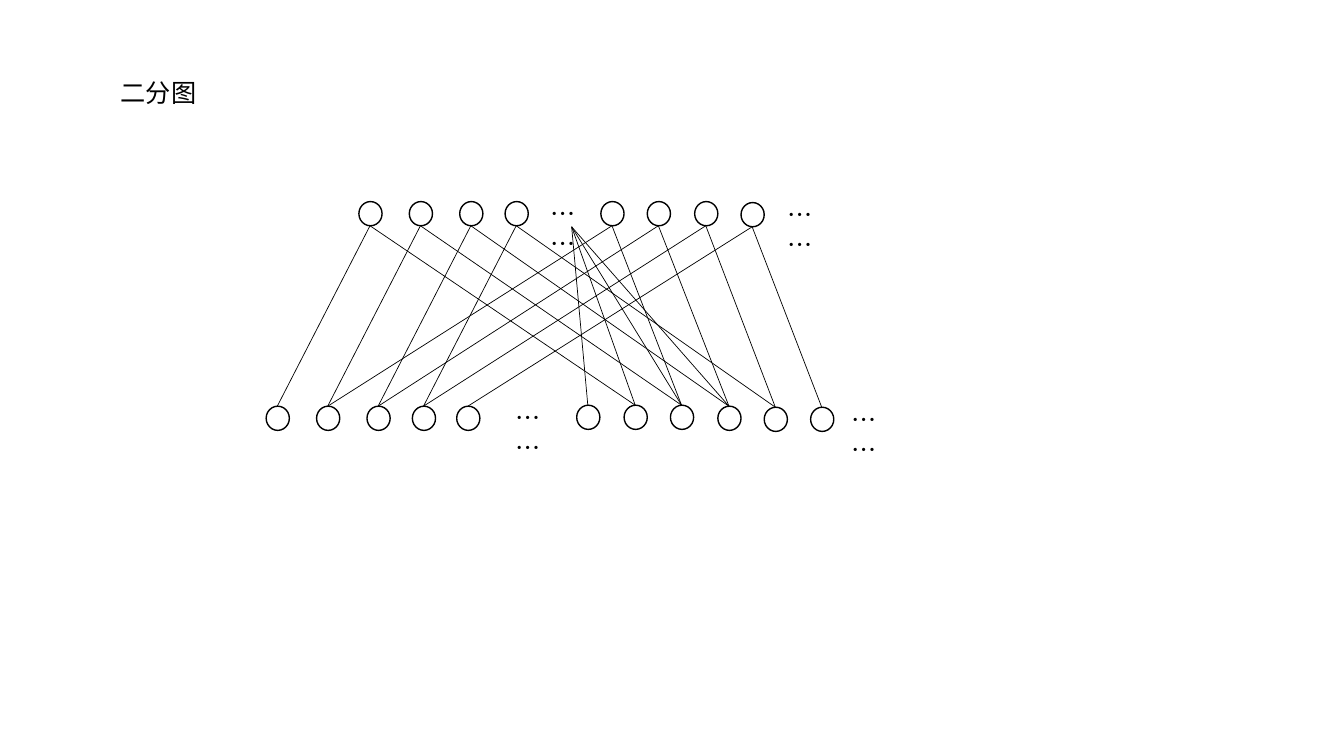
"""Builds a slide that shows a bipartite graph."""
import dataclasses

import lxml.etree
import pptx
import pptx.dml.color
import pptx.enum.shapes
import pptx.enum.text
import pptx.oxml.ns
import pptx.util

PX = 9144


@dataclasses.dataclass(frozen=True)
class Theme:
    ink: str = "000000"
    paper: str = "FFFFFF"
    font: str = "Noto Sans CJK SC"
    text_size: int = 18
    node_line: float = 1
    edge_line: float = 0.5


def rgb(value):
    return pptx.dml.color.RGBColor.from_string(value)


def write_text(paragraph, text, *, size, color, font):
    run = paragraph.add_run()
    run.text = text
    run.font.size = pptx.util.Pt(size)
    run.font.color.rgb = rgb(color)
    run.font.name = font
    east_asian = lxml.etree.SubElement(run.font._element, pptx.oxml.ns.qn("a:ea"))
    east_asian.set("typeface", font)


class GraphSlide:
    def __init__(self, slide, theme):
        self.slide = slide
        self.theme = theme

    def label(self, text, left, top, width=63, height=40):
        box = self.slide.shapes.add_textbox(left * PX, top * PX, width * PX, height * PX)
        frame = box.text_frame
        frame.word_wrap = True
        frame.auto_size = pptx.enum.text.MSO_AUTO_SIZE.SHAPE_TO_FIT_TEXT
        write_text(frame.paragraphs[0], text, size=self.theme.text_size,
                   color=self.theme.ink, font=self.theme.font)

    def node(self, left, top):
        shape = self.slide.shapes.add_shape(
            pptx.enum.shapes.MSO_SHAPE.OVAL, left * PX, top * PX,
            NODE_WIDTH * PX, NODE_HEIGHT * PX)
        shape.shadow.inherit = False
        shape.fill.solid()
        shape.fill.fore_color.rgb = rgb(self.theme.paper)
        self.stroke(shape.line, self.theme.node_line)

    def edge(self, start, end):
        connector = self.slide.shapes.add_connector(
            pptx.enum.shapes.MSO_CONNECTOR.STRAIGHT, *(value * PX for value in start + end))
        self.stroke(connector.line, self.theme.edge_line)
        properties = connector._element.spPr
        lxml.etree.SubElement(properties, pptx.oxml.ns.qn("a:effectLst"))

    def stroke(self, line, width):
        line.color.rgb = rgb(self.theme.ink)
        line.width = pptx.util.Pt(width)


NODE_WIDTH, NODE_HEIGHT = 23, 24
UPPER_NODES = [(left, 200) for left in (356, 406, 456, 501, 596, 642, 689)] + [(735, 201)]
LOWER_NODES = [(left, 403) for left in (264, 314, 364, 409, 453)]
LOWER_NODES += [(572, 402), (619, 402), (665, 402), (712, 403), (758, 404), (804, 404)]
ELLIPSES = [(536, 192), (771, 193), (501, 394), (835, 396)]
HUB = (567, 225)
GROUP = 4


def main():
    presentation = pptx.Presentation()
    presentation.slide_width = 1333 * PX
    presentation.slide_height = 750 * PX
    slide = presentation.slides.add_slide(presentation.slide_layouts[6])
    graph = GraphSlide(slide, Theme())

    graph.label("二分图", 110, 72, width=196)
    for left, top in UPPER_NODES + LOWER_NODES:
        graph.node(left, top)
    for left, top in ELLIPSES:
        graph.label("……", left, top)

    center = NODE_WIDTH // 2
    upper_ends = [(left + center, top + NODE_HEIGHT) for left, top in UPPER_NODES]
    lower_ends = [(left + center, top) for left, top in LOWER_NODES]
    for index, upper_end in enumerate(upper_ends):
        targets = (index, index + 6) if index < GROUP else (index - 3, index + 3)
        for target in targets:
            graph.edge(lower_ends[target], upper_end)
    for lower_end in lower_ends[5:5 + GROUP]:
        graph.edge(lower_end, HUB)

    presentation.save("out.pptx")


if __name__ == "__main__":
    main()
